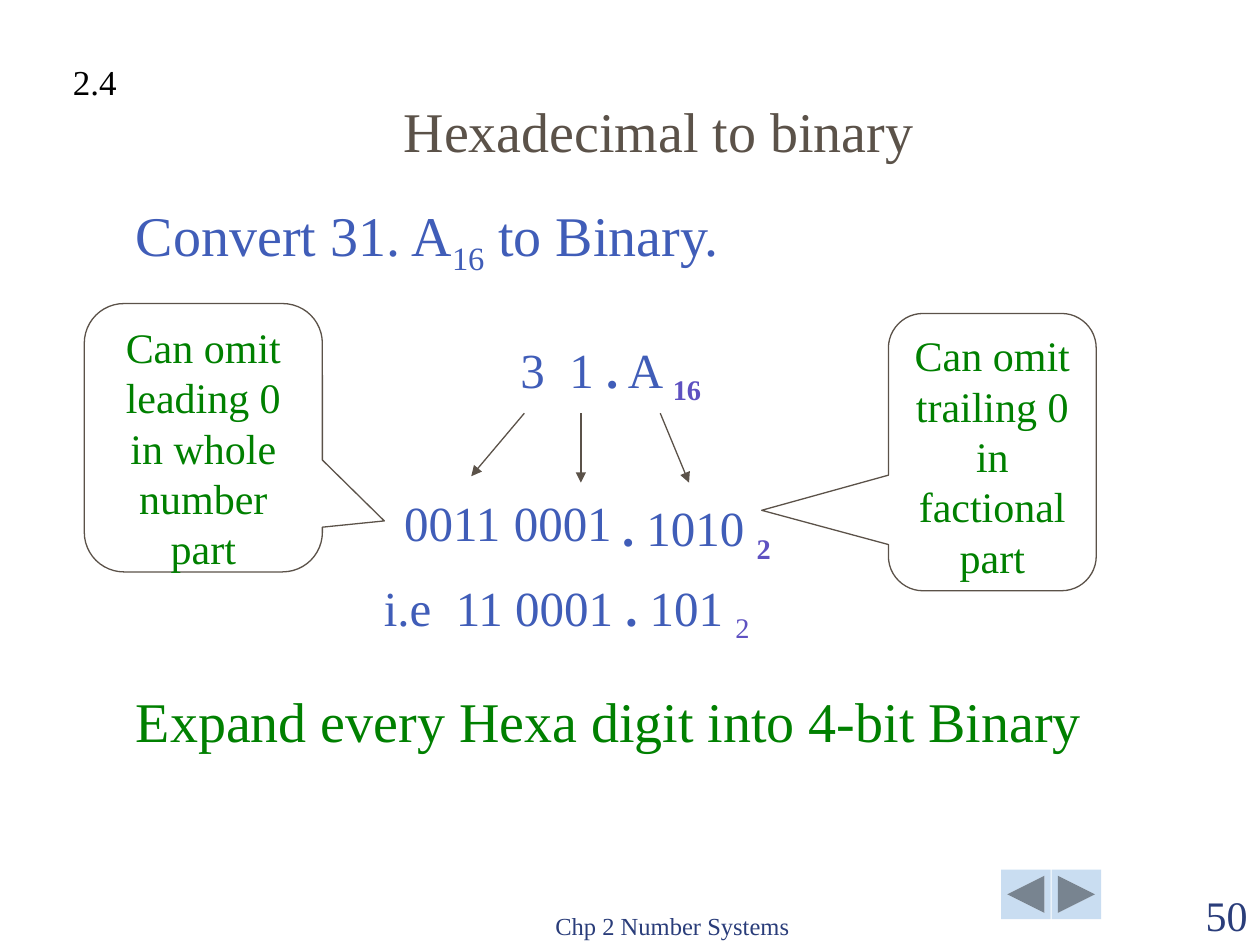
from dataclasses import dataclass
from typing import Optional

import lxml.etree
import pptx
import pptx.dml.color
import pptx.enum.shapes
import pptx.enum.text
import pptx.oxml.ns
import pptx.util

Cm = pptx.util.Cm
Shape = pptx.enum.shapes.MSO_SHAPE
Align = pptx.enum.text.PP_ALIGN
Anchor = pptx.enum.text.MSO_ANCHOR
qn = pptx.oxml.ns.qn


@dataclass(frozen=True)
class Theme:
    font: str = "Times New Roman"
    heading: str = "5B5249"
    outline: str = "5B5249"
    number: str = "405DB8"
    base: str = "5E51C1"
    note: str = "008000"
    footer: str = "2A3D7A"
    section: str = "000000"
    button: str = "C9DDF1"
    heading_size: int = 32
    digit_size: int = 28
    note_size: int = 24
    section_size: int = 20
    footer_size: int = 14
    line_width: float = 0.75


THEME = Theme()


@dataclass(frozen=True)
class Area:
    left: float
    top: float
    width: float
    height: float

    def lengths(self) -> tuple:
        return Cm(self.left), Cm(self.top), Cm(self.width), Cm(self.height)


@dataclass(frozen=True)
class Span:
    text: str
    color: str = THEME.number
    bold: bool = False
    subscript: bool = False


@dataclass(frozen=True)
class Label:
    area: Area
    spans: tuple
    size: int = THEME.digit_size
    align: Align = Align.LEFT
    anchor: Anchor = Anchor.TOP
    wrap: bool = True
    line_spacing: Optional[float] = None
    tab: Optional[float] = None


@dataclass(frozen=True)
class Arrow:
    start_x: float
    start_y: float
    end_x: float
    end_y: float


@dataclass(frozen=True)
class Callout:
    area: Area
    text: str
    tip_x: float
    tip_y: float


def rgb(color: str) -> pptx.dml.color.RGBColor:
    return pptx.dml.color.RGBColor.from_string(color)


def format_span(span, size: int, color: str, bold: bool = False) -> None:
    span.font.name = THEME.font
    span.font.size = pptx.util.Pt(size)
    span.font.bold = bold
    span.font.color.rgb = rgb(color)


def draw_label(page, label: Label) -> None:
    frame = page.shapes.add_textbox(*label.area.lengths()).text_frame
    frame.word_wrap = label.wrap
    frame.vertical_anchor = label.anchor
    para = frame.paragraphs[0]
    if label.tab is not None:
        properties = para._p.get_or_add_pPr()
        tabs = lxml.etree.SubElement(properties, qn("a:tabLst"))
        lxml.etree.SubElement(tabs, qn("a:tab"), pos=str(Cm(label.tab)), algn="l")
    para.alignment = label.align
    para.line_spacing = label.line_spacing
    for item in label.spans:
        span = para.add_run()
        span.text = item.text
        format_span(span, label.size, item.color, item.bold)
        if item.subscript:
            span._r.get_or_add_rPr().set("baseline", "-25000")


def draw_arrow(page, arrow: Arrow) -> None:
    connector = page.shapes.add_connector(
        pptx.enum.shapes.MSO_CONNECTOR.STRAIGHT,
        Cm(arrow.start_x), Cm(arrow.start_y), Cm(arrow.end_x), Cm(arrow.end_y),
    )
    connector.line.color.rgb = rgb(THEME.outline)
    connector.line.width = pptx.util.Pt(THEME.line_width)
    lxml.etree.SubElement(connector.line._get_or_add_ln(), qn("a:tailEnd"), type="triangle")
    lxml.etree.SubElement(connector._element.spPr, qn("a:effectLst"))


def draw_callout(page, callout: Callout) -> None:
    box = page.shapes.add_shape(Shape.ROUNDED_RECTANGULAR_CALLOUT, *callout.area.lengths())
    box.adjustments[0] = callout.tip_x
    box.adjustments[1] = callout.tip_y
    box.shadow.inherit = False
    box.fill.background()
    box.line.color.rgb = rgb(THEME.outline)
    box.line.width = pptx.util.Pt(THEME.line_width)
    frame = box.text_frame
    frame.word_wrap = True
    frame.vertical_anchor = Anchor.TOP
    frame.text = callout.text
    frame.paragraphs[0].alignment = Align.CENTER
    format_span(frame.paragraphs[0].runs[0], THEME.note_size, THEME.note)


def draw_button(page, kind: Shape, area: Area) -> None:
    button = page.shapes.add_shape(kind, *area.lengths())
    button.shadow.inherit = False
    button.fill.solid()
    button.fill.fore_color.rgb = rgb(THEME.button)
    button.line.fill.background()


POINT = Span(".", bold=True)
DIGITS_TOP = 9.93
ARROW_TOP = 8.33

LABELS = (
    Label(Area(9.53, 17.81, 8.05, 1.27), (Span("Chp 2 Number Systems", THEME.footer),),
          THEME.footer_size, Align.CENTER, Anchor.BOTTOM),
    Label(Area(22.86, 17.81, 2.54, 1.27), (Span("50", THEME.footer),),
          THEME.note_size, Align.RIGHT, Anchor.BOTTOM),
    Label(Area(2.49, 1.73, 21.59, 1.7), (Span("Hexadecimal to binary", THEME.heading),),
          THEME.heading_size, Align.CENTER, Anchor.BOTTOM),
    Label(Area(2.49, 3.91, 15.39, 1.9),
          (Span("Convert 31. A"), Span("16", subscript=True), Span(" to Binary.")),
          THEME.heading_size),
    Label(Area(1.22, 1.09, 1.4, 1.12), (Span("2.4", THEME.section),),
          THEME.section_size, wrap=False),
    Label(Area(2.49, 13.72, 20.8, 1.63),
          (Span("Expand every Hexa digit into 4-bit Binary", THEME.note),),
          THEME.heading_size),
    Label(Area(10.24, 6.73, 7.19, 1.47),
          (Span("3\t1 "), POINT, Span(" A "), Span("16", THEME.base, True, True)),
          line_spacing=0.9, tab=0.99),
    Label(Area(7.9, DIGITS_TOP, 2.54, 1.32), (Span("0011"),), line_spacing=0.9),
    Label(Area(10.11, DIGITS_TOP, 2.79, 1.32), (Span("0001"),), line_spacing=0.9),
    Label(Area(12.29, DIGITS_TOP, 3.78, 1.47),
          (POINT, Span(" 1010 "), Span("2", THEME.base, True, True)), line_spacing=0.9),
    Label(Area(7.49, 11.53, 9.02, 1.47),
          (Span("i.e\t11 0001 "), POINT, Span(" 101 "), Span("2", THEME.base, False, True)),
          line_spacing=0.9, tab=1.45),
)
ARROWS = (
    Arrow(10.57, ARROW_TOP, 9.5, 9.6),
    Arrow(11.71, ARROW_TOP, 11.71, 9.73),
    Arrow(13.31, ARROW_TOP, 13.89, 9.73),
)
CALLOUTS = (
    Callout(Area(1.7, 6.12, 4.8, 5.41), "Can omit leading 0 in whole number part", 0.76, 0.31),
    Callout(Area(17.91, 6.32, 4.19, 5.59), "Can omit trailing 0 in factional part", -1.11, 0.21),
)
BUTTONS = (
    (Shape.ACTION_BUTTON_BACK_OR_PREVIOUS, Area(20.18, 17.53, 1, 1)),
    (Shape.ACTION_BUTTON_FORWARD_OR_NEXT, Area(21.2, 17.53, 1, 1)),
)


def main() -> None:
    deck = pptx.Presentation()
    deck.slide_width, deck.slide_height = Cm(25.4), Cm(19.05)
    page = deck.slides.add_slide(deck.slide_layouts[6])
    for kind, area in BUTTONS:
        draw_button(page, kind, area)
    for label in LABELS:
        draw_label(page, label)
    for arrow in ARROWS:
        draw_arrow(page, arrow)
    for callout in CALLOUTS:
        draw_callout(page, callout)
    deck.save("out.pptx")


if __name__ == "__main__":
    main()
